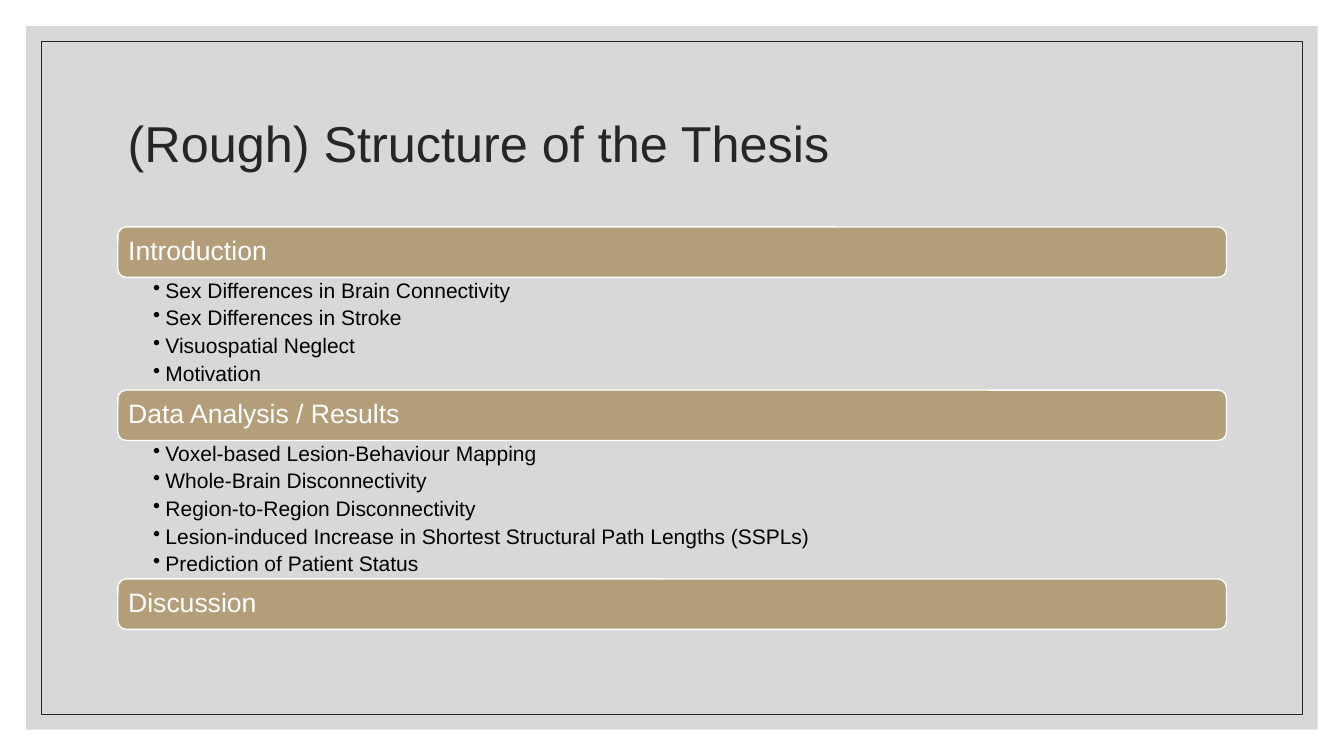
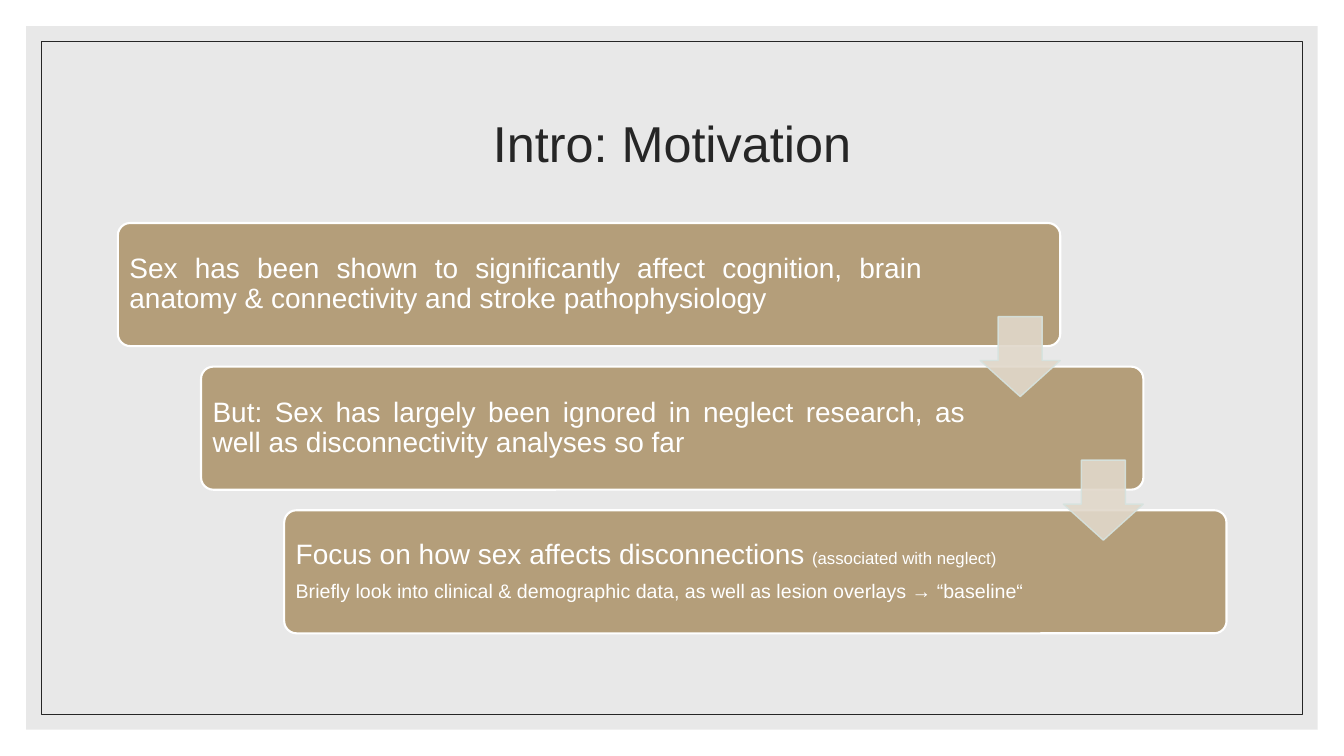
from lxml.etree import SubElement
from pptx import Presentation
from pptx.dml.color import RGBColor
from pptx.enum.shapes import MSO_SHAPE
from pptx.enum.text import MSO_ANCHOR, PP_ALIGN
from pptx.oxml.ns import qn
from pptx.util import Cm, Pt

WHITE = RGBColor(0xFF, 0xFF, 0xFF)
BLACK = RGBColor(0x00, 0x00, 0x00)
INK = RGBColor(0x26, 0x26, 0x26)
TAN = RGBColor(0xB4, 0x9E, 0x7A)
MID_GREY = RGBColor(0xBF, 0xBF, 0xBF)
LIGHT_GREY = RGBColor(0xD9, 0xD9, 0xD9)
ARROW_FILL = RGBColor(0xE1, 0xD8, 0xCA)
ARROW_LINE = RGBColor(0xD6, 0xE3, 0xDF)

FONT = "Arial"
SLIDE_WIDTH, SLIDE_HEIGHT = Cm(33.87), Cm(19.05)
CONTENT_LEFT, CONTENT_WIDTH = Cm(2.97), Cm(27.94)
PADDING = Cm(0.2)

SECTIONS = [
    ("Introduction", [
        "Sex Differences in Brain Connectivity",
        "Sex Differences in Stroke",
        "Visuospatial Neglect",
        "Motivation",
    ]),
    ("Data Analysis / Results", [
        "Voxel-based Lesion-Behaviour Mapping",
        "Whole-Brain Disconnectivity",
        "Region-to-Region Disconnectivity",
        "Lesion-induced Increase in Shortest Structural Path Lengths (SSPLs)",
        "Prediction of Patient Status",
    ]),
    ("Discussion", []),
]

STEPS = [
    (Cm(3.38), [[("Sex has been shown to significantly affect cognition, brain anatomy "
                  "& connectivity and stroke pathophysiology", 20)]]),
    (Cm(4.39), [[("But: Sex has largely been ignored in neglect research, as well as "
                  "disconnectivity analyses so far", 20)]]),
    (Cm(4.39), [
        [("Focus on how sex affects disconnections", 20), (" ", 18),
         ("(associated with neglect)", 12)],
        [("Briefly look into clinical & demographic data, as well as lesion overlays "
          "→ “baseline“", 14)],
    ]),
]


def set_opacity(fill, percent):
    color = fill.fore_color._xFill.find(qn("a:srgbClr"))
    SubElement(color, qn("a:alpha")).set("val", str(percent * 1000))


def add_block(page, kind, box, fill=None, line=None, line_width=1, opacity=100):
    shape = page.shapes.add_shape(kind, *box)
    shape.shadow.inherit = False
    for target, color in ((shape.fill, fill), (shape.line.fill, line)):
        if color is None:
            target.background()
            continue
        target.solid()
        target.fore_color.rgb = color
        if opacity < 100:
            set_opacity(target, opacity)
    if line is not None:
        shape.line.width = Pt(line_width)
    return shape


def set_margins(frame, left, top, right, bottom):
    frame.word_wrap = True
    frame.margin_left, frame.margin_top = left, top
    frame.margin_right, frame.margin_bottom = right, bottom


def add_bullet(para):
    properties = para._p.get_or_add_pPr()
    properties.set("marL", str(Cm(0.31)))
    properties.set("indent", str(-Cm(0.31)))
    SubElement(properties, qn("a:buChar")).set("char", "•")


def write_paragraphs(frame, paragraphs, color, align=PP_ALIGN.LEFT, after=0, bullet=False):
    for index, spans in enumerate(paragraphs):
        para = frame.add_paragraph() if index else frame.paragraphs[0]
        if bullet:
            add_bullet(para)
        para.alignment = align
        para.line_spacing = 0.9
        para.space_after = Pt(after)
        for text, size in spans:
            span = para.add_run()
            span.text = text
            span.font.name = FONT
            span.font.size = Pt(size)
            span.font.color.rgb = color


def add_page(deck, title, panel_color, title_align=PP_ALIGN.LEFT):
    page = deck.slides.add_slide(deck.slide_layouts[6])
    for inset, look in (
        (Cm(0.66), {"fill": panel_color, "opacity": 60}),
        (Cm(1.04), {"line": INK, "line_width": 0.5}),
    ):
        box = (inset, inset, SLIDE_WIDTH - 2 * inset, SLIDE_HEIGHT - 2 * inset)
        add_block(page, MSO_SHAPE.RECTANGLE, box, **look)
    title_box = page.shapes.add_textbox(CONTENT_LEFT, Cm(1.78), CONTENT_WIDTH, Cm(3.81))
    frame = title_box.text_frame
    frame.word_wrap = True
    frame.vertical_anchor = MSO_ANCHOR.MIDDLE
    write_paragraphs(frame, [[(title, 36)]], INK, title_align)
    return page


def add_outline(page, left, top, width, sections):
    bar_height = Cm(1.27)
    for heading, topics in sections:
        bar = add_block(page, MSO_SHAPE.ROUNDED_RECTANGLE,
                        (left, top, width, bar_height), TAN, WHITE)
        frame = bar.text_frame
        set_margins(frame, PADDING, PADDING, PADDING, PADDING)
        frame.vertical_anchor = MSO_ANCHOR.MIDDLE
        write_paragraphs(frame, [[(heading, 19)]], WHITE)
        top += bar_height
        if topics:
            list_height = Cm(0.24) + len(topics) * Cm(0.65)
            topic_box = page.shapes.add_textbox(left, top, width, list_height)
            frame = topic_box.text_frame
            set_margins(frame, Cm(0.89), Cm(0.07), Cm(0.38), Cm(0.07))
            write_paragraphs(frame, [[(topic, 15)] for topic in topics], BLACK,
                             after=3.5, bullet=True)
            top += list_height


def add_staircase(page, left, top, width, height, steps):
    card_width, card_height = int(width * 0.85), int(height * 0.3)
    step_x = (width - card_width) // (len(steps) - 1)
    step_y = (height - card_height) // (len(steps) - 1)
    corners = [(left + index * step_x, top + index * step_y) for index in range(len(steps))]
    for (card_left, card_top), (right_margin, paragraphs) in zip(corners, steps):
        card = add_block(page, MSO_SHAPE.ROUNDED_RECTANGLE,
                         (card_left, card_top, card_width, card_height), TAN, WHITE, 1.5)
        card.adjustments[0] = 0.1
        frame = card.text_frame
        set_margins(frame, PADDING, PADDING, right_margin, PADDING)
        frame.vertical_anchor = MSO_ANCHOR.MIDDLE
        write_paragraphs(frame, paragraphs, WHITE, PP_ALIGN.JUSTIFY, after=8)
    arrow_size = int(card_height * 0.65)
    for card_left, card_top in corners[:-1]:
        box = (card_left + card_width - arrow_size, card_top + int(card_height * 0.76),
               arrow_size, arrow_size)
        arrow = add_block(page, MSO_SHAPE.DOWN_ARROW, box, ARROW_FILL, ARROW_LINE, opacity=90)
        arrow.adjustments[0] = 0.55
        arrow.adjustments[1] = 0.45


def main():
    deck = Presentation()
    deck.slide_width, deck.slide_height = SLIDE_WIDTH, SLIDE_HEIGHT
    structure = add_page(deck, "(Rough) Structure of the Thesis", MID_GREY)
    add_outline(structure, CONTENT_LEFT, Cm(5.72), CONTENT_WIDTH, SECTIONS)
    motivation = add_page(deck, "Intro: Motivation", LIGHT_GREY, PP_ALIGN.CENTER)
    add_staircase(motivation, CONTENT_LEFT, Cm(5.62), CONTENT_WIDTH, Cm(10.34), STEPS)
    deck.save("out.pptx")


if __name__ == "__main__":
    main()
